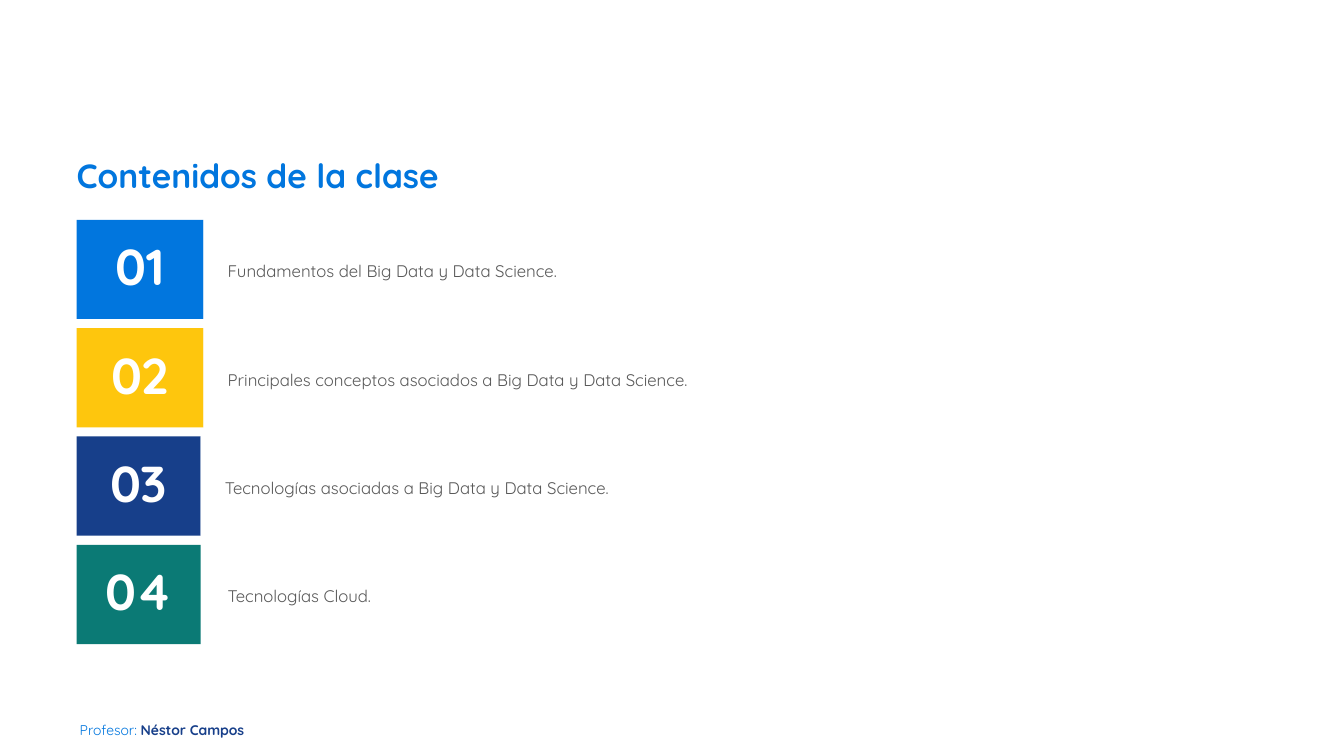
import pptx
import pptx.util
import pptx.dml.color
import pptx.enum.shapes
import pptx.enum.text
from dataclasses import dataclass

Cm = pptx.util.Cm
ANCHOR = pptx.enum.text.MSO_ANCHOR
ALIGN = pptx.enum.text.PP_ALIGN


@dataclass(frozen=True)
class Theme:
    font: str = "Quicksand"
    blue: str = "0176DE"
    gold: str = "FEC60D"
    navy: str = "173F8A"
    teal: str = "0B7A75"
    gray: str = "595959"
    white: str = "FFFFFF"
    title: int = 24
    number: int = 36
    body: int = 12
    small: int = 10


THEME = Theme()


def color(code):
    return pptx.dml.color.RGBColor.from_string(code)


def write(frame, text, size=THEME.body, tint=THEME.gray, bold=False,
          align=ALIGN.LEFT, line=1.0, anchor=ANCHOR.TOP, inset=(0, 0)):
    """Add a run to the first paragraph and format its frame."""
    frame.word_wrap = True
    frame.vertical_anchor = anchor
    frame.margin_left = frame.margin_right = Cm(inset[0])
    frame.margin_top = frame.margin_bottom = Cm(inset[1])
    para = frame.paragraphs[0]
    para.alignment = align
    para.line_spacing = line
    para.space_before = pptx.util.Pt(0)
    run = para.add_run()
    run.text = text
    font = run.font
    font.name = THEME.font
    font.size = pptx.util.Pt(size)
    font.bold = bold
    font.color.rgb = color(tint)


def add_block(slide, left, top, width, height, fill):
    kind = pptx.enum.shapes.MSO_SHAPE.RECTANGLE
    block = slide.shapes.add_shape(kind, Cm(left), Cm(top), Cm(width), Cm(height))
    block.shadow.inherit = False
    block.fill.solid()
    block.fill.fore_color.rgb = color(fill)
    block.line.fill.background()
    return block.text_frame


def add_title(slide, text):
    title = slide.shapes.title
    title.left, title.top = Cm(1.93), Cm(3.81)
    title.width, title.height = Cm(30), Cm(1.73)
    frame = title.text_frame
    frame.auto_size = pptx.enum.text.MSO_AUTO_SIZE.NONE
    write(frame, text, size=THEME.title, tint=THEME.blue, bold=True, line=1.08)


def add_topic(slide, index, text, fill, width, left, align):
    top = 5.54 + index * 2.73
    number = add_block(slide, 1.93, top, width, 2.5, fill)
    write(number, f"{index + 1:02}", size=THEME.number, tint=THEME.white, bold=True,
          align=ALIGN.CENTER, line=0.9, anchor=ANCHOR.MIDDLE, inset=(0.25, 0.13))
    label = add_block(slide, left, top, 26.82, 2.5, THEME.white)
    write(label, text, align=align, line=1.17, anchor=ANCHOR.MIDDLE, inset=(0.61, 0.61))


def add_footer(slide):
    box = slide.shapes.add_textbox(Cm(2.01), Cm(17.68), Cm(5.08), Cm(0.66))
    write(box.text_frame, "Profesor: ", size=THEME.small, tint=THEME.blue, line=2.2)
    write(box.text_frame, "Néstor Campos", size=THEME.small, tint=THEME.navy,
          bold=True, line=2.2)


def main():
    deck = pptx.Presentation()
    deck.slide_width, deck.slide_height = Cm(33.87), Cm(19.05)
    slide = deck.slides.add_slide(deck.slide_layouts[5])

    # Footer and title
    add_footer(slide)
    add_title(slide, "Contenidos de la clase")

    # Numbered topics: text, fill, number width, label left, alignment
    topics = [
        ("Fundamentos del Big Data y Data Science.", THEME.blue, 3.2, 5.13, ALIGN.LEFT),
        ("Principales conceptos asociados a Big Data y Data Science.", THEME.gold, 3.2,
         5.13, ALIGN.JUSTIFY),
        ("Tecnologías asociadas a Big Data y Data Science.", THEME.navy, 3.13, 5.06,
         ALIGN.LEFT),
        ("Tecnologías Cloud.", THEME.teal, 3.13, 5.13, ALIGN.LEFT),
    ]
    for index, topic in enumerate(topics):
        add_topic(slide, index, *topic)

    deck.save("out.pptx")


if __name__ == "__main__":
    main()
